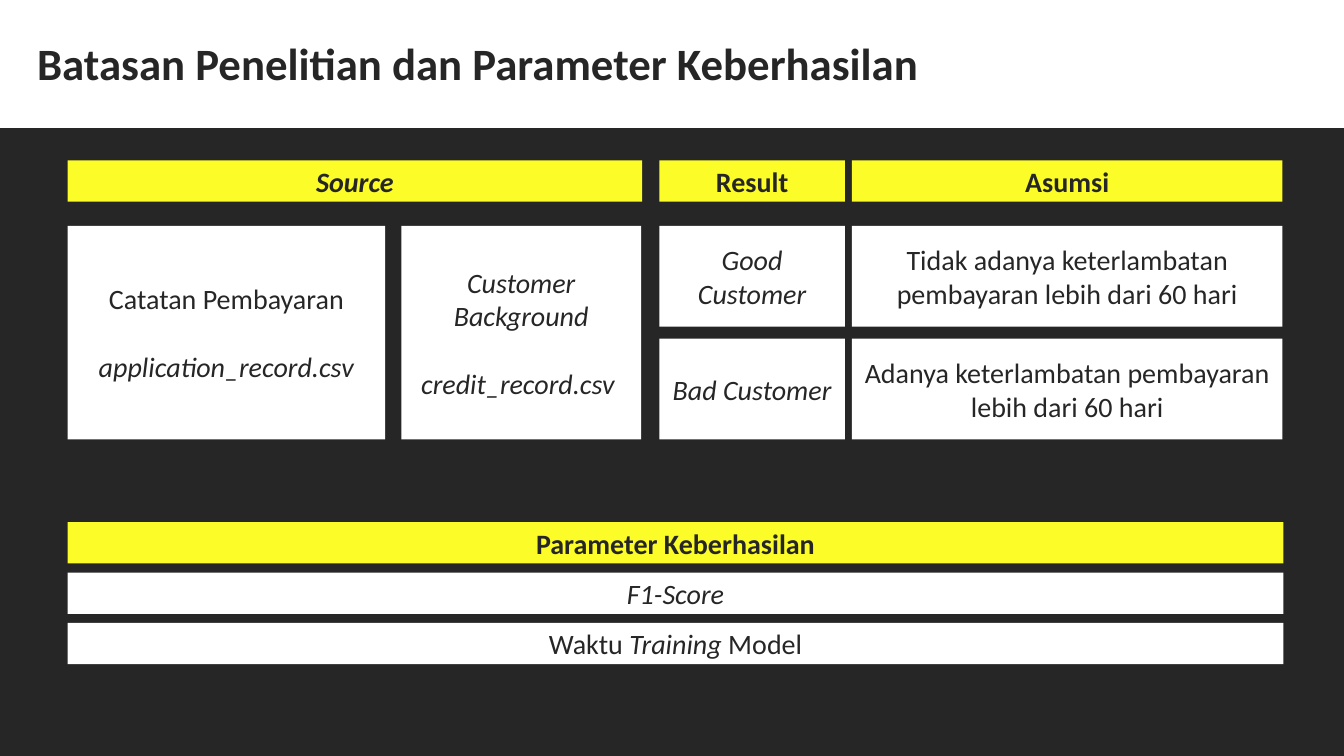
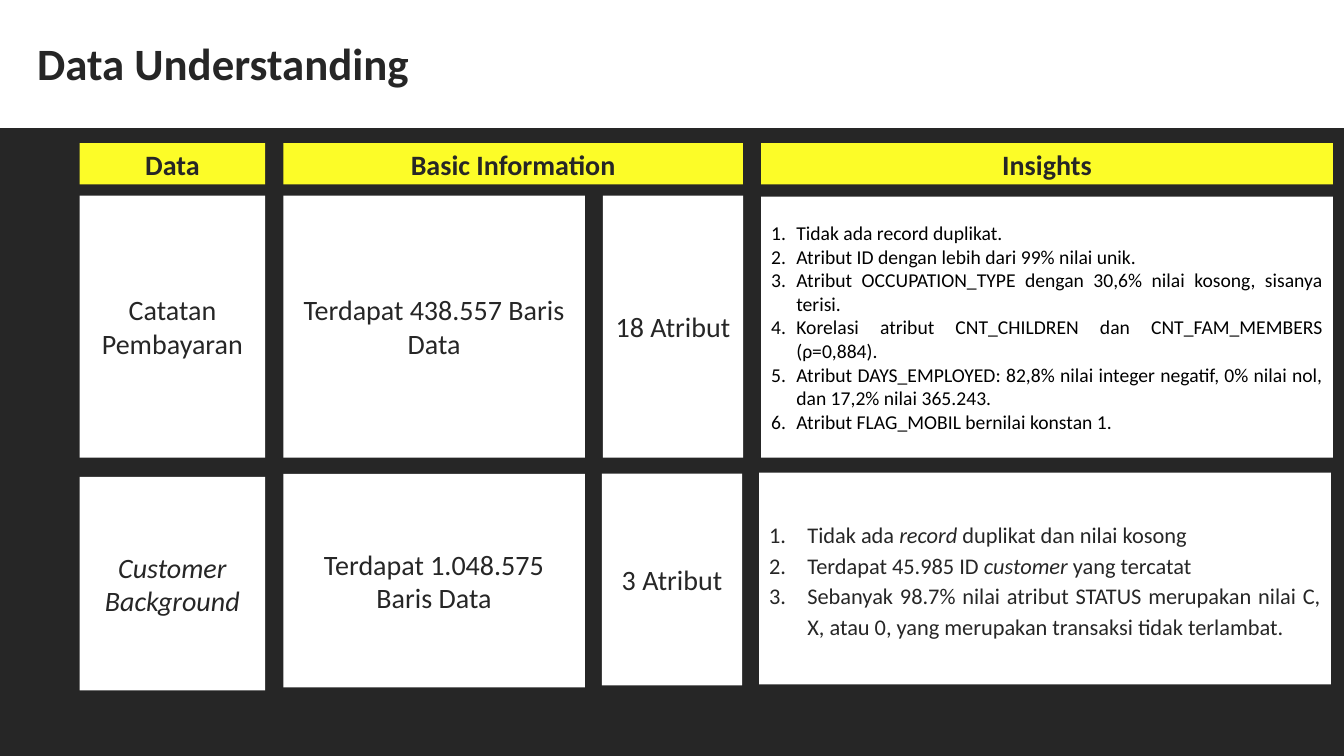
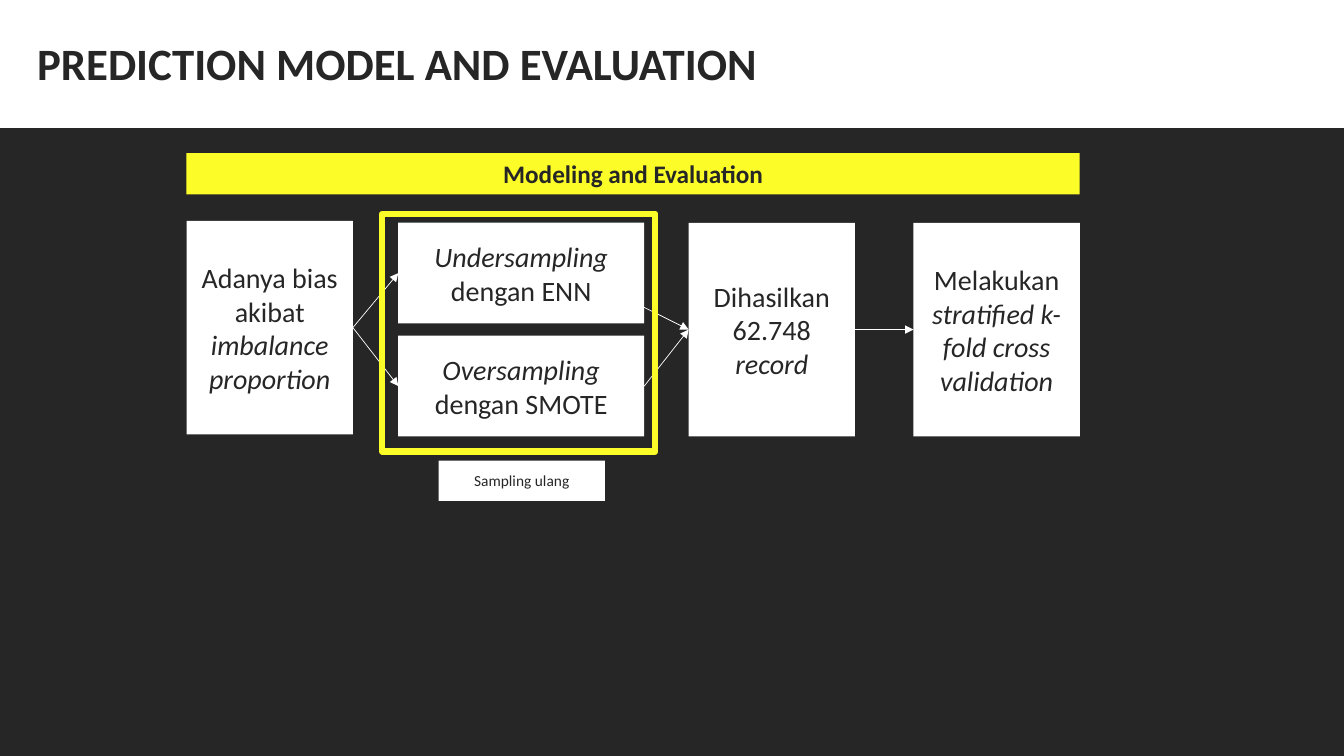
"""Builds three slides on a credit study: scope, data understanding and modelling."""

from dataclasses import dataclass
from typing import NamedTuple

import lxml.etree
import pptx
import pptx.dml.color
import pptx.enum.shapes
import pptx.enum.text
import pptx.oxml
import pptx.oxml.ns
import pptx.presentation
import pptx.shapes.autoshape
import pptx.shapes.connector
import pptx.slide
import pptx.text.text
import pptx.util

Inches = pptx.util.Inches
Pt = pptx.util.Pt
Align = pptx.enum.text.PP_ALIGN
Slide = pptx.slide.Slide
Shape = pptx.shapes.autoshape.Shape

INK = pptx.dml.color.RGBColor(0x26, 0x26, 0x26)
WHITE = pptx.dml.color.RGBColor(0xFF, 0xFF, 0xFF)
BLACK = pptx.dml.color.RGBColor(0x00, 0x00, 0x00)
YELLOW = pptx.dml.color.RGBColor(0xFC, 0xFC, 0x28)

FONT = "Calibri"
BAR_HEIGHT = 0.41
CARD_HEIGHT = 2.12
HALF_HEIGHT = 1.0
HALF_STEP = 1.12
RIGHT, LEFT = 3, 1


class Span(NamedTuple):
    text: str
    italic: bool = False


Line = tuple[Span, ...]


@dataclass(frozen=True)
class TextStyle:
    size: float = 20
    color: pptx.dml.color.RGBColor = INK
    bold: bool = False
    align: Align = Align.CENTER
    gap: float = 0
    spacing: float | None = None
    number_indent: float = 0


@dataclass(frozen=True)
class Card:
    left: float
    top: float
    width: float
    height: float
    lines: tuple[Line, ...]
    style: TextStyle = TextStyle()
    fill: pptx.dml.color.RGBColor = WHITE


HEADER = TextStyle(bold=True)
TITLE = TextStyle(size=32, bold=True, align=Align.LEFT)
SOURCE = TextStyle(gap=24.4)
PAYMENT_INSIGHTS = TextStyle(size=14, color=BLACK, align=Align.JUSTIFY, number_indent=0.25)
CUSTOMER_INSIGHTS = TextStyle(size=16, align=Align.JUSTIFY, spacing=1.15, number_indent=0.38)


def plain(text: str) -> Line:
    """Return a line of upright text."""
    return (Span(text),)


def slanted(text: str) -> Line:
    """Return a line of italic text."""
    return (Span(text, True),)


def bar(left: float, top: float, width: float, line: Line,
        style: TextStyle = HEADER, fill: pptx.dml.color.RGBColor = YELLOW) -> Card:
    """Return a card of bar height, by default a yellow header."""
    return Card(left, top, width, BAR_HEIGHT, (line,), style, fill)


def number(paragraph: pptx.text.text._Paragraph, indent: float) -> None:
    """Number a paragraph with a hanging indent."""
    properties = paragraph._p.get_or_add_pPr()
    properties.set("marL", str(Inches(indent)))
    properties.set("indent", str(-Inches(indent)))
    numbering = lxml.etree.SubElement(properties, pptx.oxml.ns.qn("a:buAutoNum"))
    numbering.set("type", "arabicPeriod")


def write(frame: pptx.text.text.TextFrame, lines: tuple[Line, ...], style: TextStyle) -> None:
    """Write lines into a text frame run by run."""
    frame.word_wrap = True
    for index, line in enumerate(lines):
        paragraph = frame.add_paragraph() if index else frame.paragraphs[0]
        paragraph.alignment = style.align
        if index and style.gap:
            paragraph.space_before = Pt(style.gap)
        if style.spacing:
            paragraph.line_spacing = style.spacing
        if style.number_indent:
            number(paragraph, style.number_indent)
        for span in line:
            run = paragraph.add_run()
            run.text = span.text
            run.font.name = FONT
            run.font.size = Pt(style.size)
            run.font.bold = style.bold
            run.font.italic = span.italic
            run.font.color.rgb = style.color


def add_box(slide: Slide, left: float, top: float, width: float, height: float) -> Shape:
    """Add a rectangle without shadow, fill or line."""
    box = slide.shapes.add_shape(
        pptx.enum.shapes.MSO_SHAPE.RECTANGLE,
        Inches(left), Inches(top), Inches(width), Inches(height))
    box.shadow.inherit = False
    box.fill.background()
    box.line.fill.background()
    return box


def add_card(slide: Slide, card: Card) -> Shape:
    """Add a filled rectangle with its text."""
    box = add_box(slide, card.left, card.top, card.width, card.height)
    box.fill.solid()
    box.fill.fore_color.rgb = card.fill
    box.text_frame.vertical_anchor = pptx.enum.text.MSO_ANCHOR.MIDDLE
    write(box.text_frame, card.lines, card.style)
    return box


def add_cards(slide: Slide, cards: list[Card]) -> list[Shape]:
    """Add cards in order."""
    return [add_card(slide, card) for card in cards]


def add_arrow(slide: Slide, start: tuple[float, float],
              end: tuple[float, float]) -> pptx.shapes.connector.Connector:
    """Add a thin white arrow."""
    arrow = slide.shapes.add_connector(
        pptx.enum.shapes.MSO_CONNECTOR.STRAIGHT, *map(Inches, start + end))
    arrow.line.color.rgb = WHITE
    arrow.line.width = Pt(0.5)
    head = lxml.etree.SubElement(arrow.line._get_or_add_ln(), pptx.oxml.ns.qn("a:tailEnd"))
    head.set("type", "triangle")
    lxml.etree.SubElement(arrow._element.spPr, pptx.oxml.ns.qn("a:effectLst"))
    return arrow


def join(slide: Slide, origin: Shape, target: Shape) -> None:
    """Draw an arrow from the right side of one box to the left side of another."""
    arrow = add_arrow(slide, (0, 0), (0, 0))
    arrow.begin_connect(origin, RIGHT)
    arrow.end_connect(target, LEFT)


def add_titled_slide(deck: pptx.presentation.Presentation, title: str) -> Slide:
    """Add a blank slide with the white title band."""
    slide = deck.slides.add_slide(deck.slide_layouts[6])
    band = add_box(slide, 0, -0.01, 13.33, 1.28)
    band.fill.solid()
    band.fill.fore_color.rgb = WHITE
    heading = slide.shapes.add_textbox(Inches(0.27), Inches(0.31), Inches(12.8), Inches(0.64))
    write(heading.text_frame, (plain(title),), TITLE)
    return slide


def build_scope(deck: pptx.presentation.Presentation) -> None:
    """Build the slide on research limits and success parameters."""
    slide = add_titled_slide(deck, "Batasan Penelitian dan Parameter Keberhasilan")
    header_top, body_top = 1.59, 2.24
    add_cards(slide, [
        bar(0.67, header_top, 5.7, slanted("Source")),
        bar(6.54, header_top, 1.84, plain("Result")),
        bar(8.45, header_top, 4.27, plain("Asumsi")),
        Card(0.67, body_top, 3.15, CARD_HEIGHT,
             (plain("Catatan Pembayaran"), slanted("application_record.csv")), SOURCE),
        Card(3.98, body_top, 2.38, CARD_HEIGHT,
             (slanted("Customer Background"), slanted("credit_record.csv ")), SOURCE),
    ])
    outcomes = [
        ("Good Customer", "Tidak adanya keterlambatan pembayaran lebih dari 60 hari"),
        ("Bad Customer", "Adanya keterlambatan pembayaran lebih dari 60 hari"),
    ]
    for row, (result, assumption) in enumerate(outcomes):
        top = body_top + row * HALF_STEP
        add_cards(slide, [
            Card(6.54, top, 1.84, HALF_HEIGHT, (slanted(result),)),
            Card(8.45, top, 4.27, HALF_HEIGHT, (plain(assumption),)),
        ])
    add_card(slide, bar(0.67, 5.18, 12.06, plain("Parameter Keberhasilan")))
    parameters = [
        slanted("F1-Score"),
        (Span("Waktu "), Span("Training ", True), Span("Model")),
    ]
    for row, parameter in enumerate(parameters, start=1):
        add_card(slide, bar(0.67, 5.18 + row * 0.5, 12.06, parameter, TextStyle(), WHITE))


def build_data(deck: pptx.presentation.Presentation) -> None:
    """Build the slide on data understanding."""
    slide = add_titled_slide(deck, "Data Understanding")
    headers = [(0.79, 1.84, "Data"), (2.81, 4.56, "Basic Information"), (7.55, 5.67, "Insights")]
    for left, width, label in headers:
        add_card(slide, bar(left, 1.42, width, plain(label)))
    payment_insights = tuple(map(plain, (
        "Tidak ada record duplikat.",
        "Atribut ID dengan lebih dari 99% nilai unik.",
        "Atribut OCCUPATION_TYPE dengan 30,6% nilai kosong, sisanya terisi.",
        "Korelasi atribut CNT_CHILDREN dan CNT_FAM_MEMBERS (ρ=0,884).",
        "Atribut DAYS_EMPLOYED: 82,8% nilai integer negatif, 0% nilai nol, "
        "dan 17,2% nilai 365.243.",
        "Atribut FLAG_MOBIL bernilai konstan 1.",
    )))
    customer_insights = (
        (Span("Tidak ada "), Span("record", True), Span(" duplikat dan nilai kosong")),
        (Span("Terdapat 45.985 ID "), Span("customer", True), Span(" yang tercatat")),
        plain("Sebanyak 98.7% nilai atribut STATUS merupakan nilai C, X, atau 0, "
              "yang merupakan transaksi tidak terlambat."),
    )
    add_cards(slide, [
        Card(0.79, 1.94, 1.84, 2.6, (plain("Catatan Pembayaran"),)),
        Card(2.81, 1.94, 2.99, 2.6, (plain("Terdapat 438.557 Baris Data"),)),
        Card(5.98, 1.94, 1.39, 2.6, (plain("18 Atribut"),)),
        Card(7.55, 1.95, 5.67, 2.59, payment_insights, PAYMENT_INSIGHTS),
        Card(0.79, 4.73, 1.84, CARD_HEIGHT, (slanted("Customer Background"),)),
        Card(2.81, 4.7, 2.99, CARD_HEIGHT, (plain("Terdapat 1.048.575 Baris Data"),)),
        Card(5.97, 4.7, 1.39, 2.1, (plain("3 Atribut"),)),
        Card(7.53, 4.69, 5.67, 2.1, customer_insights, CUSTOMER_INSIGHTS),
    ])


def build_model(deck: pptx.presentation.Presentation) -> None:
    """Build the slide on the modelling flow."""
    slide = add_titled_slide(deck, "PREDICTION MODEL AND EVALUATION")
    top, step_width = 2.21, 1.65
    add_card(slide, bar(1.85, 1.52, 8.86, plain("Modeling and Evaluation"),
                        TextStyle(size=18, bold=True)))
    bias, undersampling, oversampling, records, validation = add_cards(slide, [
        Card(1.85, 2.19, step_width, CARD_HEIGHT,
             ((Span("Adanya bias akibat "), Span("imbalance proportion", True)),)),
        Card(3.95, top, 2.44, HALF_HEIGHT,
             ((Span("Undersampling ", True), Span("dengan ENN")),)),
        Card(3.95, top + HALF_STEP, 2.44, HALF_HEIGHT,
             ((Span("Oversampling ", True), Span("dengan SMOTE")),)),
        Card(6.83, top, step_width, CARD_HEIGHT,
             ((Span("Dihasilkan 62.748 "), Span("record", True)),)),
        Card(9.06, top, step_width, CARD_HEIGHT,
             ((Span("Melakukan "), Span("stratified k-fold cross validation", True)),)),
    ])
    for origin, target in [(bias, undersampling), (bias, oversampling),
                           (oversampling, records), (records, validation)]:
        join(slide, origin, target)
    add_arrow(slide, (6.25, 2.98), (6.83, 3.27)).end_connect(records, LEFT)
    resampling = add_box(slide, 3.79, 2.12, 2.71, 2.36)
    resampling.line.color.rgb = YELLOW
    resampling.line.width = Pt(4.5)
    add_card(slide, Card(4.35, 4.57, step_width, 0.4, (plain("Sampling ulang"),),
                         TextStyle(size=11)))


def main() -> None:
    """Build and save the deck."""
    deck = pptx.Presentation()
    deck.slide_width = Inches(13.33)
    deck.slide_height = Inches(7.5)
    backdrop = deck.slide_master.background.fill
    backdrop.solid()
    backdrop.fore_color.rgb = INK
    build_scope(deck)
    build_data(deck)
    build_model(deck)
    deck.save("out.pptx")


if __name__ == "__main__":
    main()
